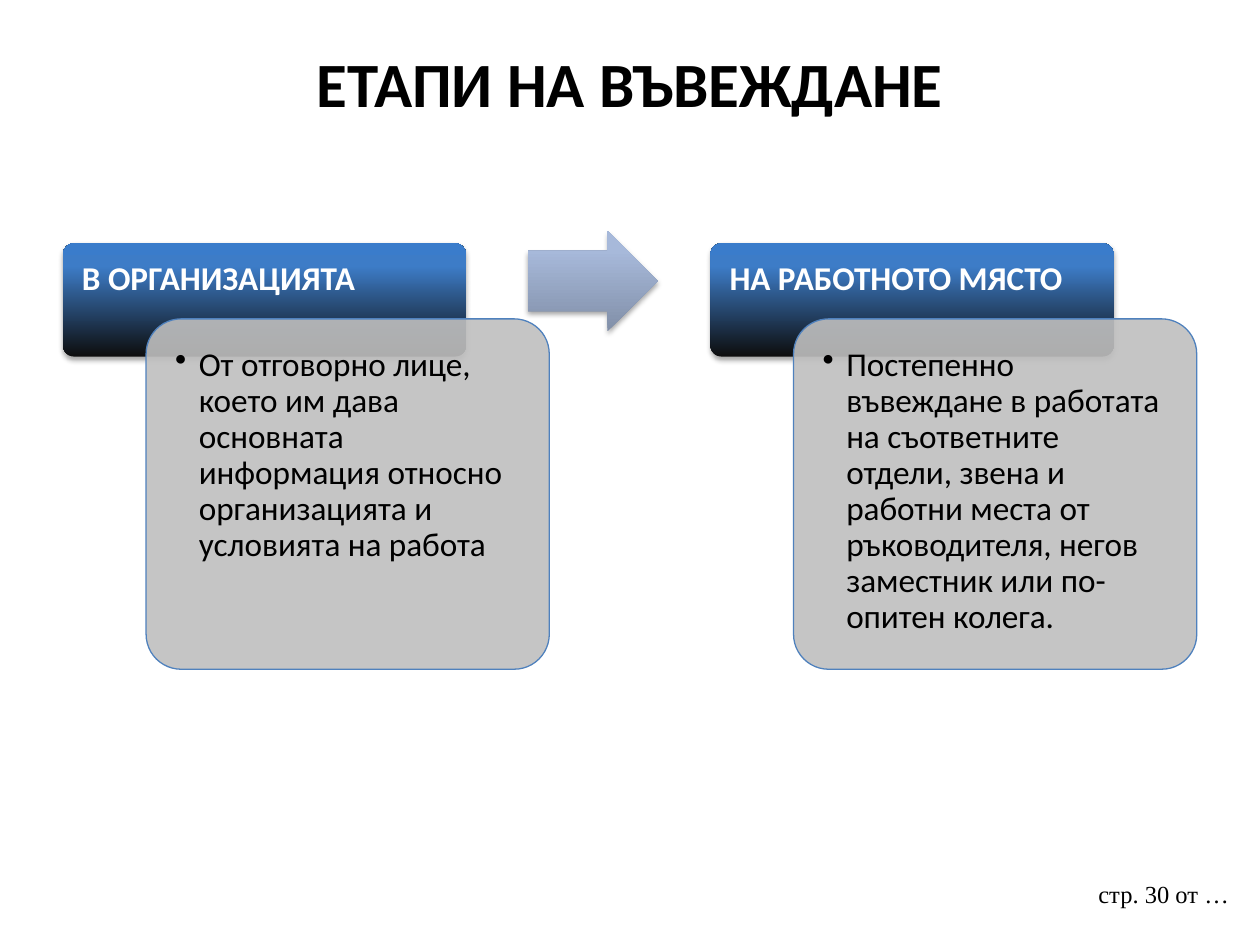
from copy import deepcopy

from lxml.etree import SubElement
from pptx import Presentation
from pptx.dml.color import RGBColor
from pptx.enum.shapes import MSO_SHAPE as Shape
from pptx.enum.text import MSO_ANCHOR as Anchor, PP_ALIGN as Align
from pptx.oxml.ns import qn
from pptx.util import Pt

# Content
TITLE = "ЕТАПИ НА ВЪВЕЖДАНЕ"
STAGES = [
    ("В ОРГАНИЗАЦИЯТА",
     "От отговорно лице, което им дава основната информация относно "
     "организацията и условията на работа"),
    ("НА РАБОТНОТО МЯСТО",
     "Постепенно въвеждане в работата на съответните отдели, звена и работни "
     "места от ръководителя, негов заместник или по-опитен колега."),
]
PAGE_LABEL = "стр. 30 от …"

# Colours
BLACK = RGBColor(0, 0, 0)
WHITE = RGBColor(255, 255, 255)
CARD_GREY = RGBColor(0xBF, 0xBF, 0xBF)
CARD_LINE = RGBColor(0x4F, 0x81, 0xBD)
HEADER_STOPS = [(0, RGBColor(0x0D, 0x0D, 0x0D)), (0.8, RGBColor(0x3D, 0x7C, 0xC7)),
                (1, RGBColor(0x3A, 0x7C, 0xCB))]
ARROW_STOPS = [(0, RGBColor(0x81, 0x8F, 0xA8)), (0.8, RGBColor(0xA7, 0xB9, 0xDA)),
               (1, RGBColor(0xA7, 0xBA, 0xDC))]

# Layout, in points
LEFT, TOP, STAGE_PITCH = 36, 139, 370
STAGE_W, HEADER_H, CARD_H = 230.4, 64.8, 200.2
CARD_DX, CARD_DY = 47.5, 43.2
ARROW_BOX = (301.7, 131.8, 74.2, 57.6)


def add_shape(kind, box, adjustments):
    shape = slide.shapes.add_shape(kind, *map(Pt, box))
    for i, value in enumerate(adjustments):
        shape.adjustments[i] = value
    shape.shadow.inherit = False
    return shape


def shade(shape, stops):
    """Vertical gradient from the bottom up, no outline, soft shadow below."""
    shape.line.fill.background()
    shape.fill.gradient()
    shape.fill.gradient_angle = 90
    stop_list = shape._element.spPr.find(".//" + qn("a:gsLst"))
    stop_list.append(deepcopy(stop_list[-1]))
    for stop, (position, color) in zip(shape.fill.gradient_stops, stops):
        stop.position = position
        stop.color.rgb = color
    effects = shape._element.spPr.find(qn("a:effectLst"))
    shadow = SubElement(effects, qn("a:outerShdw"), blurRad=str(Pt(3.1)),
                        dist=str(Pt(1.8)), dir="5400000", rotWithShape="0")
    black = SubElement(shadow, qn("a:srgbClr"), val="000000")
    SubElement(black, qn("a:alpha"), val="35000")


def set_text(shape, text, size, color, inset, bold=False, bullet=False,
             font="Calibri", align=Align.LEFT, spacing=0.9):
    frame = shape.text_frame
    frame.word_wrap = True
    frame.vertical_anchor = Anchor.TOP
    frame.margin_left = frame.margin_right = Pt(inset[0])
    frame.margin_top = frame.margin_bottom = Pt(inset[1])
    frame.text = text
    paragraph = frame.paragraphs[0]
    paragraph.alignment = align
    paragraph.line_spacing = spacing
    if bullet:
        props = paragraph._p.get_or_add_pPr()
        props.set("marL", str(Pt(13.5)))
        props.set("indent", str(Pt(-13.5)))
        SubElement(props, qn("a:buChar"), char="•")
    paragraph.font.name = font
    paragraph.font.size = Pt(size)
    paragraph.font.bold = bold
    paragraph.font.color.rgb = color


prs = Presentation()
prs.slide_width, prs.slide_height = Pt(720), Pt(540)
slide = prs.slides.add_slide(prs.slide_layouts[5])

# Title
title = slide.shapes.title
title.left, title.top, title.width, title.height = map(Pt, (36, 21.6, 648, 90))
set_text(title, TITLE, 36, BLACK, (7.2, 3.6), bold=True, align=Align.CENTER, spacing=1.0)

# Stages: a header with a translucent card over its lower corner
for i, (heading, description) in enumerate(STAGES):
    x = LEFT + i * STAGE_PITCH
    header = add_shape(Shape.ROUNDED_RECTANGLE, (x, TOP, STAGE_W, HEADER_H), [0.1])
    shade(header, HEADER_STOPS)
    set_text(header, heading, 19, WHITE, (9, 9), bold=True)

    card = add_shape(Shape.ROUNDED_RECTANGLE,
                     (x + CARD_DX, TOP + CARD_DY, STAGE_W, CARD_H), [0.1])
    card.fill.solid()
    card.fill.fore_color.rgb = CARD_GREY
    card_color = card._element.spPr.find(qn("a:solidFill"))[0]
    SubElement(card_color, qn("a:alpha"), val="90000")
    card.line.color.rgb = CARD_LINE
    card.line.width = Pt(0.75)
    set_text(card, description, 19, BLACK, (10.8, 10.8), bullet=True)

# Arrow between the stages
arrow = add_shape(Shape.RIGHT_ARROW, ARROW_BOX, [0.6, 0.5])
shade(arrow, ARROW_STOPS)

# Page label
page_label = slide.shapes.add_textbox(*map(Pt, (620.6, 499, 93.6, 37.4)))
set_text(page_label, PAGE_LABEL, 14, BLACK, (7.2, 3.6), font="Times New Roman", spacing=1.0)

prs.save("out.pptx")
